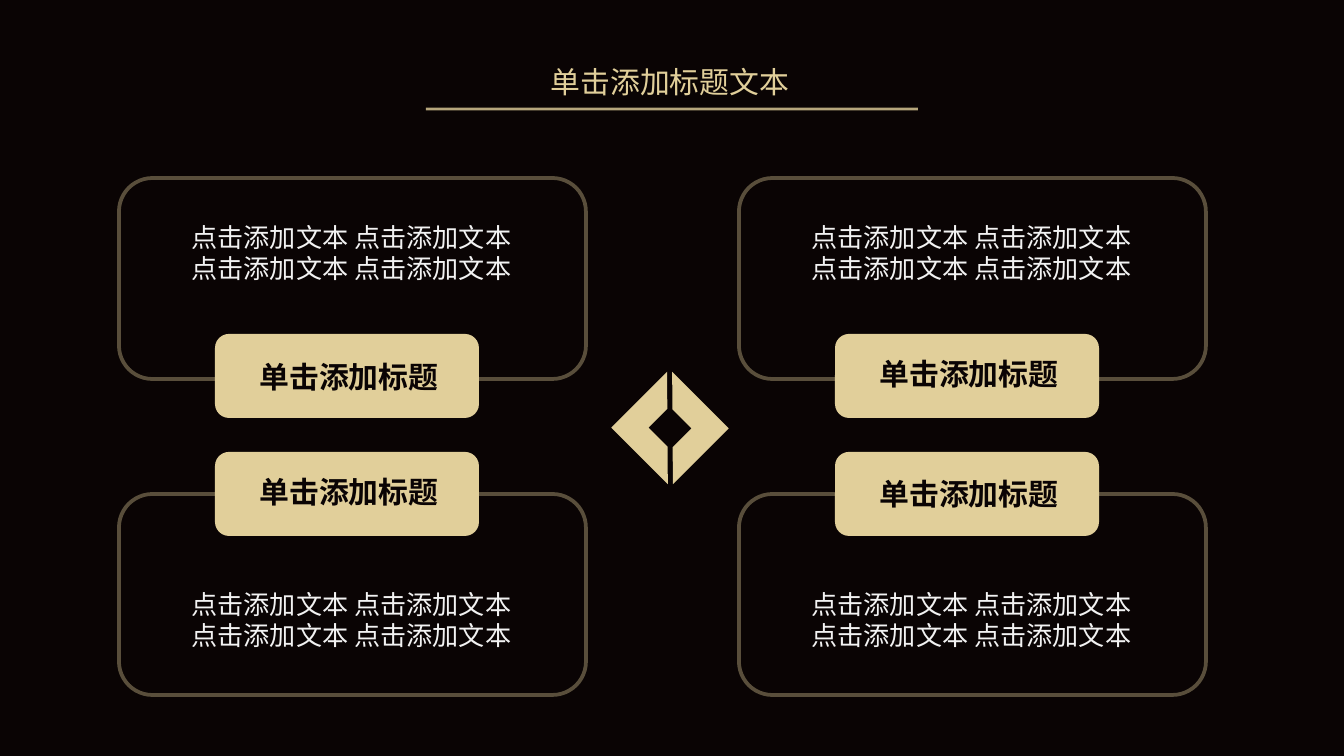
from lxml import etree
from pptx import Presentation
from pptx.dml.color import RGBColor
from pptx.enum.shapes import MSO_CONNECTOR, MSO_SHAPE as SHAPE
from pptx.enum.text import PP_ALIGN as ALIGN
from pptx.oxml.ns import qn
from pptx.util import Pt

PX = 914400 / 134.4
FONT = "Noto Sans CJK SC"
GOLD, DARK, LIGHT = "E1CF9A", "0A0404", "F2F2F2"


def paint(color_format, value, alpha=100):
    """Make a fill or line fill solid, with alpha as a percentage."""
    color_format.solid()
    color_format.fore_color.rgb = RGBColor.from_string(value)
    if alpha < 100:
        clr = color_format._xPr.find(".//" + qn("a:srgbClr"))
        etree.SubElement(clr, qn("a:alpha"), val=str(alpha * 1000))


def add_text(box, lines, size, color, bold=False, align=ALIGN.CENTER, inset=(13, 7)):
    tb = s.shapes.add_textbox(*[round(v * PX) for v in box])
    tf = tb.text_frame
    tf.word_wrap = True
    tf.margin_left = tf.margin_right = round(inset[0] * PX)
    tf.margin_top = tf.margin_bottom = round(inset[1] * PX)
    tf.text = "\n".join(lines)
    for p in tf.paragraphs:
        p.alignment = align
        p.font.size, p.font.bold, p.font.name = Pt(size), bold, FONT
        p.font.color.rgb = RGBColor.from_string(color)
    return tf


prs = Presentation()
prs.slide_width, prs.slide_height = round(1344 * PX), round(756 * PX)
s = prs.slides.add_slide(prs.slide_layouts[6])
paint(s.background.fill, DARK)

# Title and its rule
tf = add_text((538, 39, 269, 62), ["单击添加标题文本"], 16, GOLD, align=ALIGN.JUSTIFY)
tf.paragraphs[0].line_spacing = 1.5
rule = s.shapes.add_connector(MSO_CONNECTOR.STRAIGHT, *[round(v * PX) for v in (426, 109, 918, 109)])
paint(rule.line.fill, GOLD, 80)
rule.line.width = Pt(1.5)
etree.SubElement(rule._element.spPr, qn("a:effectLst"))

# Four cards: frame top, body top, badge top, label tops for left and right
rows = [(178, 214, 334, (359, 356)), (494, 581, 452, (474, 476))]
for col, left in enumerate((119, 739)):
    for frame_top, body_top, badge_top, label_tops in rows:
        frame = s.shapes.add_shape(
            SHAPE.ROUNDED_RECTANGLE, *[round(v * PX) for v in (left, frame_top, 467, 201)])
        frame.shadow.inherit = False
        frame.fill.background()
        paint(frame.line.fill, GOLD, 36)
        frame.line.width = Pt(2)
        add_text((left + 4, body_top, 457, 77), ["点击添加文本 点击添加文本"] * 2, 14, LIGHT)

        badge = s.shapes.add_shape(
            SHAPE.ROUNDED_RECTANGLE, *[round(v * PX) for v in (left + 96, badge_top, 264, 84)])
        badge.shadow.inherit = False
        paint(badge.fill, GOLD)
        badge.line.fill.background()
        add_text((left + 106, label_tops[col], 248, 37), ["单击添加标题"], 16, DARK,
                 bold=True, inset=(0, 0))

# Central diamond made of two half frames
for left, angle in ((633, 135), (628, 315)):
    half = s.shapes.add_shape(SHAPE.HALF_FRAME, *[round(v * PX) for v in (left, 388, 79, 80)])
    half.rotation = angle
    half.shadow.inherit = False
    paint(half.fill, GOLD)
    half.line.fill.background()

prs.save("out.pptx")
